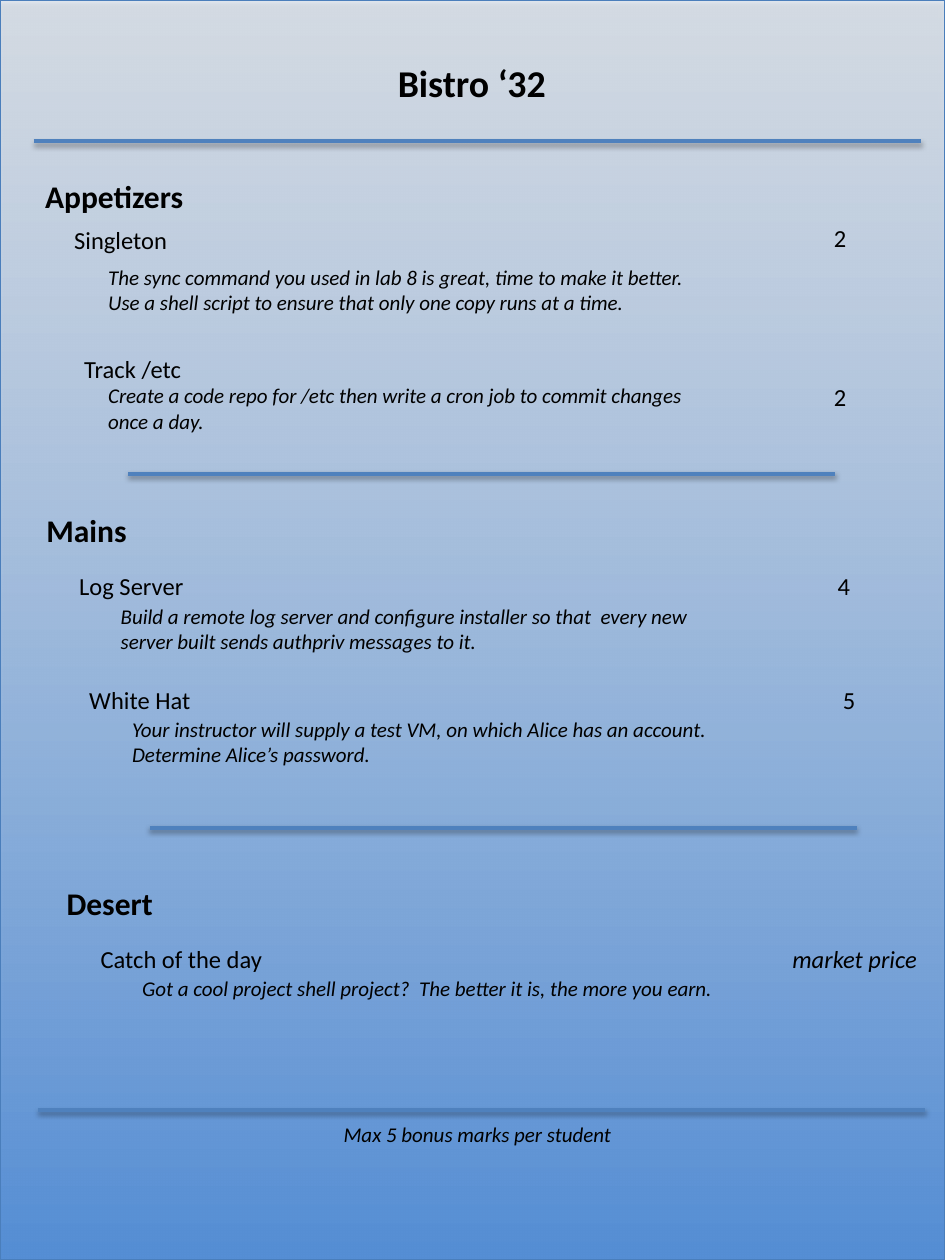
from pptx import Presentation
from pptx.dml.color import RGBColor
from pptx.enum.shapes import MSO_CONNECTOR, MSO_SHAPE
from pptx.enum.text import MSO_ANCHOR, PP_ALIGN
from pptx.oxml import parse_xml
from pptx.oxml.ns import nsdecls, qn
from pptx.util import Inches, Pt

RECT, LINE = MSO_SHAPE.RECTANGLE, MSO_CONNECTOR.STRAIGHT
LEFT, CENTER, MIDDLE = PP_ALIGN.LEFT, PP_ALIGN.CENTER, MSO_ANCHOR.MIDDLE

COLORS = {"text": "000000", "rule": "4F81BD", "edge": "4A7EBB",
          "deep": "558ED5", "pale": "DCE6F2"}
FORMATS = {
    "title": {"size": Pt(21.6), "bold": True},
    "head": {"size": Pt(18), "bold": True},
    "dish": {"size": Pt(14)},
    "price": {"size": Pt(14)},
    "market": {"size": Pt(14), "italic": True},
    "note": {"size": Pt(12), "italic": True},
}
HEIGHTS = {"head": 0.4, "dish": 0.33, "price": 0.33, "market": 0.56, "note": 0.5}


def write(shape, text, style, align=LEFT):
    frame = shape.text_frame
    frame.word_wrap = True
    par = frame.paragraphs[0]
    par.alignment = align
    run = par.add_run()
    run.text = text
    run.font.name = "Calibri"
    run.font.color.rgb = RGBColor.from_string(COLORS["text"])
    for key, value in FORMATS[style].items():
        setattr(run.font, key, value)


def shade(shape, alpha, dist):
    shape.element.spPr.append(parse_xml(
        f'<a:effectLst {nsdecls("a")}><a:outerShdw blurRad="{Pt(3.1)}" '
        f'dist="{Pt(dist)}" dir="5400000" rotWithShape="0">'
        f'<a:srgbClr val="000000"><a:alpha val="{alpha * 1000}"/></a:srgbClr>'
        '</a:outerShdw></a:effectLst>'))


deck = Presentation()
deck.slide_width, deck.slide_height = Inches(7.5), Inches(10)
slide = deck.slides.add_slide(deck.slide_layouts[5])
shapes = slide.shapes

# Title
title = shapes.title
title.left, title.top = Inches(0.56), Inches(0.38)
title.width, title.height = Inches(6.37), Inches(0.55)
title.text_frame.vertical_anchor = MIDDLE
write(title, "Bistro ‘32", "title", CENTER)

# Page panel, placed behind the title
page = shapes.add_shape(RECT, 0, 0, deck.slide_width, deck.slide_height)
page.fill.gradient()
page.fill.gradient_angle = 90
for stop, name in zip(page.fill.gradient_stops, ("deep", "pale")):
    stop.color.rgb = RGBColor.from_string(COLORS[name])
    stop.position = 0 if name == "deep" else 1
pale = list(page.element.spPr.iter(qn("a:srgbClr")))[-1]
pale.append(parse_xml(f'<a:alpha {nsdecls("a")} val="69000"/>'))
page.line.color.rgb = RGBColor.from_string(COLORS["edge"])
page.line.width = Pt(0.75)
shade(page, 35, 1.8)
title.element.addprevious(page.element)

# Rules: left, right, height on the page
for left, right, top in [(0.27, 7.31, 1.12), (1.02, 6.63, 3.76),
                         (1.19, 6.8, 6.57), (0.3, 7.34, 8.81)]:
    rule = shapes.add_connector(LINE, Inches(left), Inches(top),
                                Inches(right), Inches(top))
    rule.line.color.rgb = RGBColor.from_string(COLORS["rule"])
    rule.line.width = Pt(2)
    shade(rule, 38, 1.6)

# Menu: style, left, top, width, text
MENU = [
    ("head", 0.26, 1.36, 2.42, "Appetizers"),
    ("dish", 0.49, 1.74, 1.52, "Singleton"),
    ("price", 6.52, 1.72, 0.42, "2"),
    ("note", 0.76, 2.05, 5, "The sync command you used in lab 8 is great, time to make "
     "it better.  Use a shell script to ensure that only one copy runs at a time."),
    ("dish", 0.57, 2.76, 1.52, "Track /etc"),
    ("price", 6.52, 2.98, 0.42, "2"),
    ("note", 0.76, 2.99, 5, "Create a code repo for /etc then write a cron job to commit "
     "changes once a day."),
    ("head", 0.27, 4.01, 1.42, "Mains"),
    ("dish", 0.53, 4.48, 2.55, "Log Server"),
    ("price", 6.55, 4.48, 0.42, "4"),
    ("note", 0.86, 4.74, 5, "Build a remote log server and configure installer so that  "
     "every new server built sends authpriv messages to it."),
    ("dish", 0.61, 5.39, 2.55, "White Hat"),
    ("price", 6.59, 5.39, 0.42, "5"),
    ("note", 0.95, 5.64, 5, "Your instructor will supply a test VM, on which Alice has "
     "an account.  Determine Alice’s password."),
    ("head", 0.43, 6.97, 1.42, "Desert"),
    ("dish", 0.7, 7.44, 2.55, "Catch of the day"),
    ("market", 6.19, 7.44, 1.22, "market price"),
    ("note", 1.03, 7.69, 5, "Got a cool project shell project?  The better it is, the "
     "more you earn."),
]
for style, left, top, width, text in MENU:
    box = shapes.add_textbox(Inches(left), Inches(top), Inches(width),
                             Inches(HEIGHTS[style]))
    write(box, text, style)

# Footer
foot = shapes.add_textbox(Inches(0.27), Inches(8.85), Inches(7.04), Inches(0.3))
write(foot, "Max 5 bonus marks per student", "note", CENTER)

deck.save("out.pptx")
